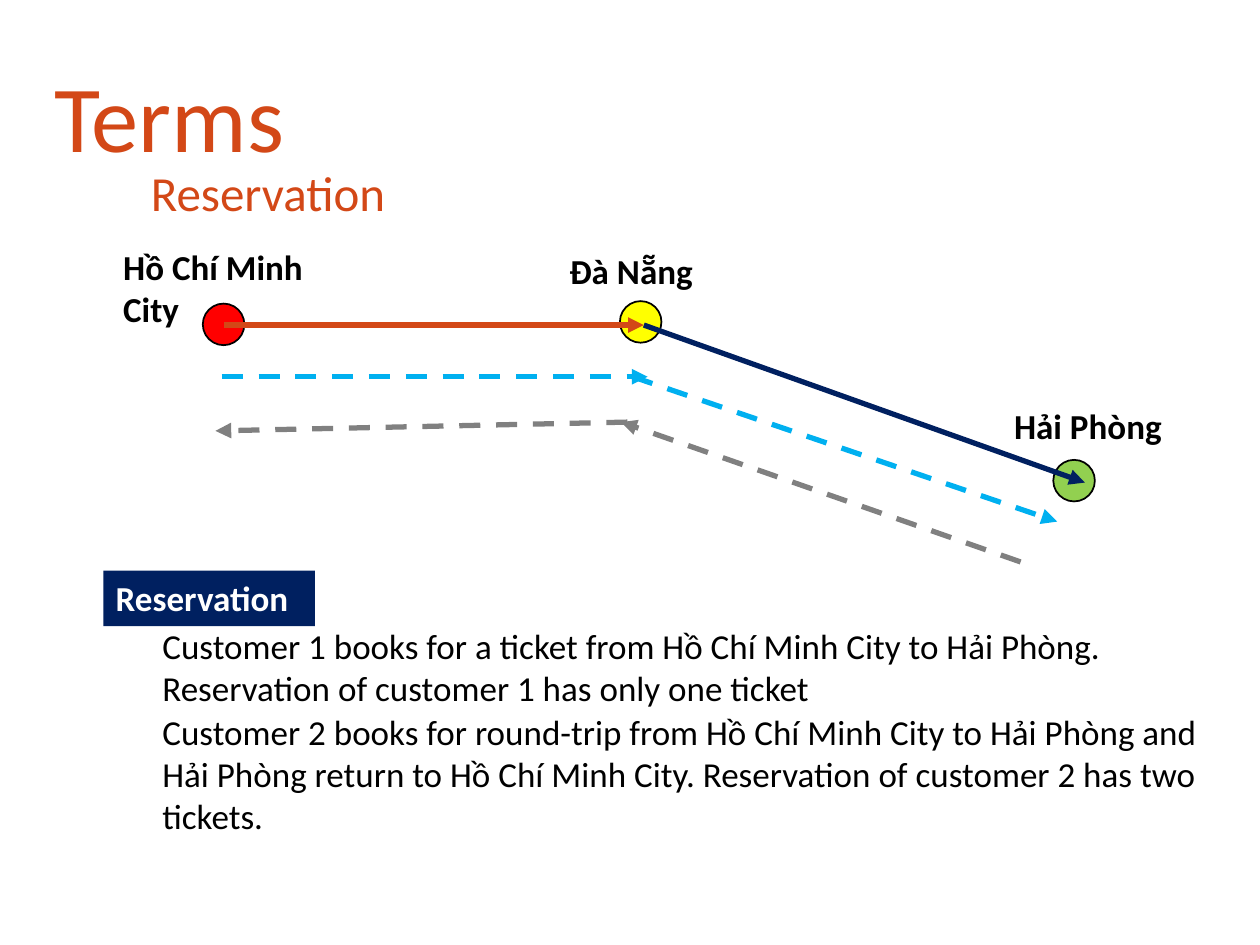
"""Build the Terms slide on flight reservations."""
import pptx
import pptx.util
import pptx.dml.color
import pptx.enum.dml
import pptx.enum.shapes
import pptx.enum.text
import pptx.oxml.ns
import lxml.etree

PX = 9144
HUES = {
    "rust": "D34817", "navy": "002060", "sky": "00B0F0", "gray": "808080",
    "red": "FF0000", "lime": "92D050", "gold": "FFFF00",
    "black": "000000", "white": "FFFFFF",
}
RGB = {name: pptx.dml.color.RGBColor.from_string(code) for name, code in HUES.items()}


def write(shape, text, size, hue, bold=False):
    frame = shape.text_frame
    form = {"word_wrap": True, "auto_size": pptx.enum.text.MSO_AUTO_SIZE.NONE,
            "vertical_anchor": pptx.enum.text.MSO_ANCHOR.TOP}
    for key, val in form.items():
        setattr(frame, key, val)
    para = frame.paragraphs[0]
    para.alignment = pptx.enum.text.PP_ALIGN.LEFT
    run = para.add_run()
    run.text = text
    look = {"name": "Calibri", "size": pptx.util.Pt(size), "bold": bold}
    for key, val in look.items():
        setattr(run.font, key, val)
    run.font.color.rgb = RGB[hue]


def place(*nums):
    return [num * PX for num in nums]


deck = pptx.Presentation()
deck.slide_width, deck.slide_height = place(1000, 750)
slide = deck.slides.add_slide(deck.slide_layouts[5])
shapes = slide.shapes

title = shapes.title
title.left, title.top, title.width, title.height = place(33, 50, 517, 92)
write(title, "Terms", 54, "rust")
title.text_frame.vertical_anchor = pptx.enum.text.MSO_ANCHOR.BOTTOM
title.text_frame.paragraphs[0].line_spacing = 0.9

tag = shapes.add_shape(pptx.enum.shapes.MSO_SHAPE.RECTANGLE, *place(82, 453, 168, 44))
tag.shadow.inherit = False
tag.fill.solid()
tag.fill.fore_color.rgb = RGB["navy"]
tag.line.fill.background()
write(tag, "Reservation", 20, "white", True)

stops = [(161, 241, "red"), (836, 365, "lime"), (492, 239, "gold")]
for left, top, hue in stops:
    dot = shapes.add_shape(pptx.enum.shapes.MSO_SHAPE.OVAL, *place(left, top, 33, 33))
    dot.shadow.inherit = False
    dot.fill.solid()
    dot.fill.fore_color.rgb = RGB[hue]
    dot.line.color.rgb = RGB["black"]
    dot.line.width = pptx.util.Pt(1)

legs = [
    (178, 258, 511, 258, "rust", False),
    (511, 258, 861, 383, "navy", False),
    (176, 299, 514, 299, "sky", True),
    (502, 299, 839, 414, "sky", True),
    (810, 446, 493, 335, "gray", True),
    (498, 335, 171, 342, "gray", True),
]
for *ends, hue, dash in legs:
    leg = shapes.add_connector(pptx.enum.shapes.MSO_CONNECTOR.STRAIGHT, *place(*ends))
    leg.line.color.rgb = RGB[hue]
    leg.line.width = pptx.util.Pt(3)
    if dash:
        leg.line.dash_style = pptx.enum.dml.MSO_LINE.DASH
    pen = leg.line._get_or_add_ln()
    lxml.etree.SubElement(pen, pptx.oxml.ns.qn("a:tailEnd"), type="triangle")
    lxml.etree.SubElement(leg._element.spPr, pptx.oxml.ns.qn("a:effectLst"))

notes = [
    (110, 124, 523, 57, "Reservation", 28, "rust", False),
    (88, 190, 176, 77, "Hồ Chí Minh City", 20, "black", True),
    (442, 193, 119, 44, "Đà Nẵng", 20, "black", True),
    (795, 316, 200, 44, "Hải Phòng", 20, "black", True),
    (119, 491, 872, 77, "Customer 1 books for a ticket from Hồ Chí Minh City to Hải Phòng. "
     "Reservation of customer 1 has only one ticket", 20, "black", False),
    (119, 559, 872, 111, "Customer 2 books for round-trip from Hồ Chí Minh City to Hải Phòng "
     "and Hải Phòng return to Hồ Chí Minh City. Reservation of customer 2 has two tickets.",
     20, "black", False),
]
for left, top, wide, high, *style in notes:
    write(shapes.add_textbox(*place(left, top, wide, high)), *style)

deck.save("out.pptx")
